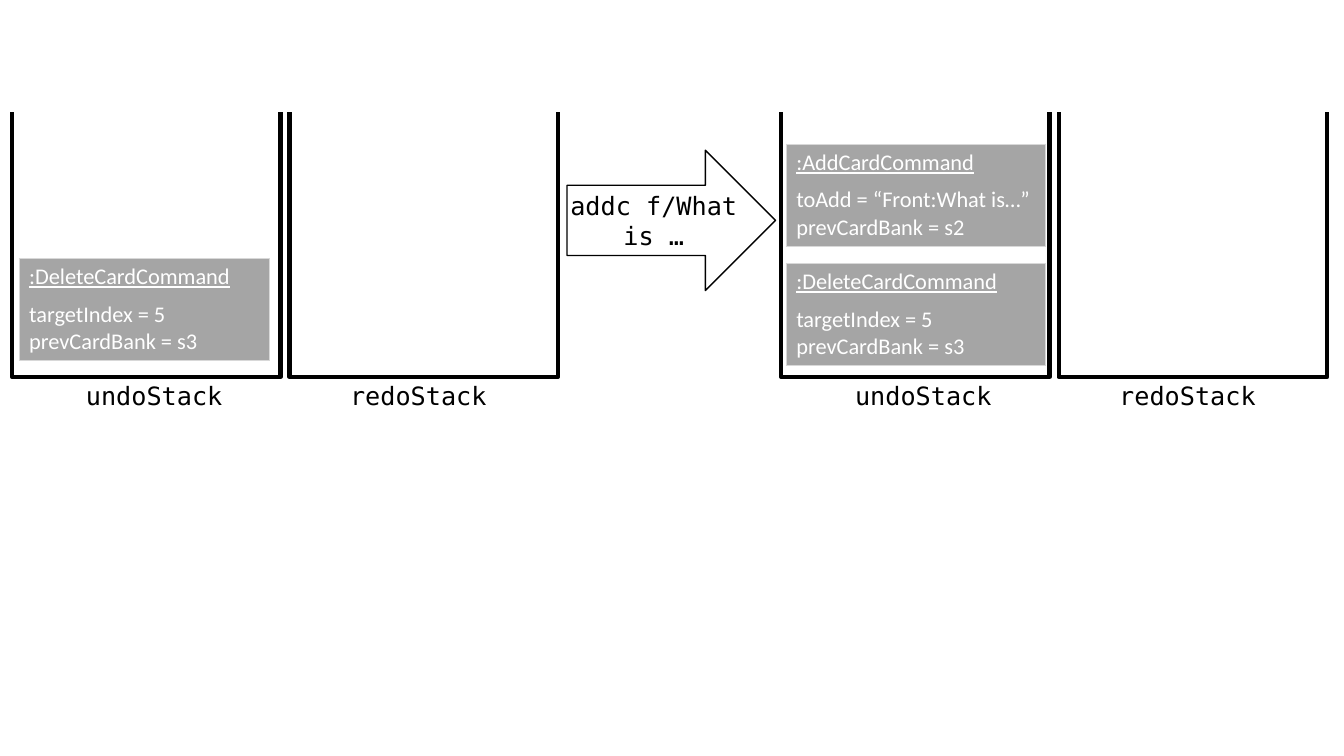
from lxml.etree import SubElement
from pptx import Presentation
from pptx.dml.color import RGBColor
from pptx.enum.shapes import MSO_SHAPE
from pptx.enum.text import MSO_ANCHOR, PP_ALIGN
from pptx.oxml.ns import qn
from pptx.util import Pt

MONO = "DejaVu Sans Mono"
STACK_W, STACK_H, STACK_STEP = 191.7, 189, 198.2
ADD = (":AddCardCommand", ["toAdd = “Front:What is…”", "prevCardBank = s2"])
DELETE = (":DeleteCardCommand", ["targetIndex = 5", "prevCardBank = s3"])


def color(value):
    return RGBColor.from_string(value)


def add_run(p, text, font, size, hex_color, underline=False):
    r = p.add_run()
    r.text = text
    r.font.name = font
    r.font.size = Pt(size)
    r.font.bold = False
    r.font.underline = underline
    r.font.color.rgb = color(hex_color)


def add_box(s, preset, text, x, y, w, h, line, line_width, inset):
    sp = s.shapes.add_shape(preset, Pt(x), Pt(y), Pt(w), Pt(h))
    sp.shadow.inherit = False
    sp.fill.background()
    sp.line.color.rgb = color(line)
    sp.line.width = Pt(line_width)
    tf = sp.text_frame
    tf.word_wrap = True
    tf.vertical_anchor = MSO_ANCHOR.MIDDLE
    tf.margin_left = tf.margin_right = Pt(inset)
    p = tf.paragraphs[0]
    p.alignment = PP_ALIGN.CENTER
    add_run(p, text, MONO, 18, "000000")


def add_stack(s, name, x, y, label_dx):
    add_box(s, MSO_SHAPE.RECTANGLE, name, x + label_dx, y + STACK_H - 1.5,
            180, 29, "FFFFFF", 0.75, 7.2)
    right, bottom = x + STACK_W, y + STACK_H
    outline = s.shapes.build_freeform(Pt(x), Pt(y))
    outline.add_line_segments(
        [(Pt(x), Pt(bottom)), (Pt(right), Pt(bottom)), (Pt(right), Pt(y))],
        close=False)
    sp = outline.convert_to_shape()
    sp.shadow.inherit = False
    sp.fill.background()
    sp.line.color.rgb = color("000000")
    sp.line.width = Pt(3)


def set_borders(cell, visible):
    tcPr = cell._tc.get_or_add_tcPr()
    for i, side in enumerate("LRTB"):
        ln = SubElement(tcPr, qn(f"a:ln{side}"), w=str(Pt(0.5)))
        if side in visible:
            fill = SubElement(ln, qn("a:solidFill"))
            SubElement(fill, qn("a:srgbClr"), val="D8D8D8")
        else:
            SubElement(ln, qn("a:noFill"))
        tcPr.insert(i, ln)


def add_command(s, command, x, y, w):
    title, fields = command
    table = s.shapes.add_table(2, 1, Pt(x), Pt(y), Pt(w), Pt(72)).table
    table.first_row = table.horz_banding = False
    rows = [([title], 26, "LRT", True), (fields, 46, "LRB", False)]
    for i, (lines, height, borders, underline) in enumerate(rows):
        table.rows[i].height = Pt(height)
        cell = table.cell(i, 0)
        cell.fill.solid()
        cell.fill.fore_color.rgb = color("A5A5A5")
        set_borders(cell, borders)
        tf = cell.text_frame
        for j, line in enumerate(lines):
            p = tf.add_paragraph() if j else tf.paragraphs[0]
            add_run(p, line, "Calibri", 16, "FFFFFF", underline)


def add_state(s, x, y, commands, inset, command_w):
    add_stack(s, "undoStack", x, y, 11.5)
    add_stack(s, "redoStack", x + STACK_STEP, y, 2)
    for command, dy in commands:
        add_command(s, command, x + inset, y + dy, command_w)


def add_step(s, text, x, y, w, h):
    add_box(s, MSO_SHAPE.RIGHT_ARROW, text, x, y, w, h, "000000", 1, 0)


prs = Presentation()
prs.slide_width, prs.slide_height = Pt(960), Pt(540)
s = prs.slides.add_slide(prs.slide_layouts[6])
add_state(s, 8.6, 80.3, [(DELETE, 104.2)], 5, 178.6)
add_step(s, "addc f/What is …", 405, 107.3, 149, 100.3)
add_state(s, 558, 80.3, [(ADD, 22.5), (DELETE, 107.7)], 3.6, 185)
prs.save("out.pptx")
